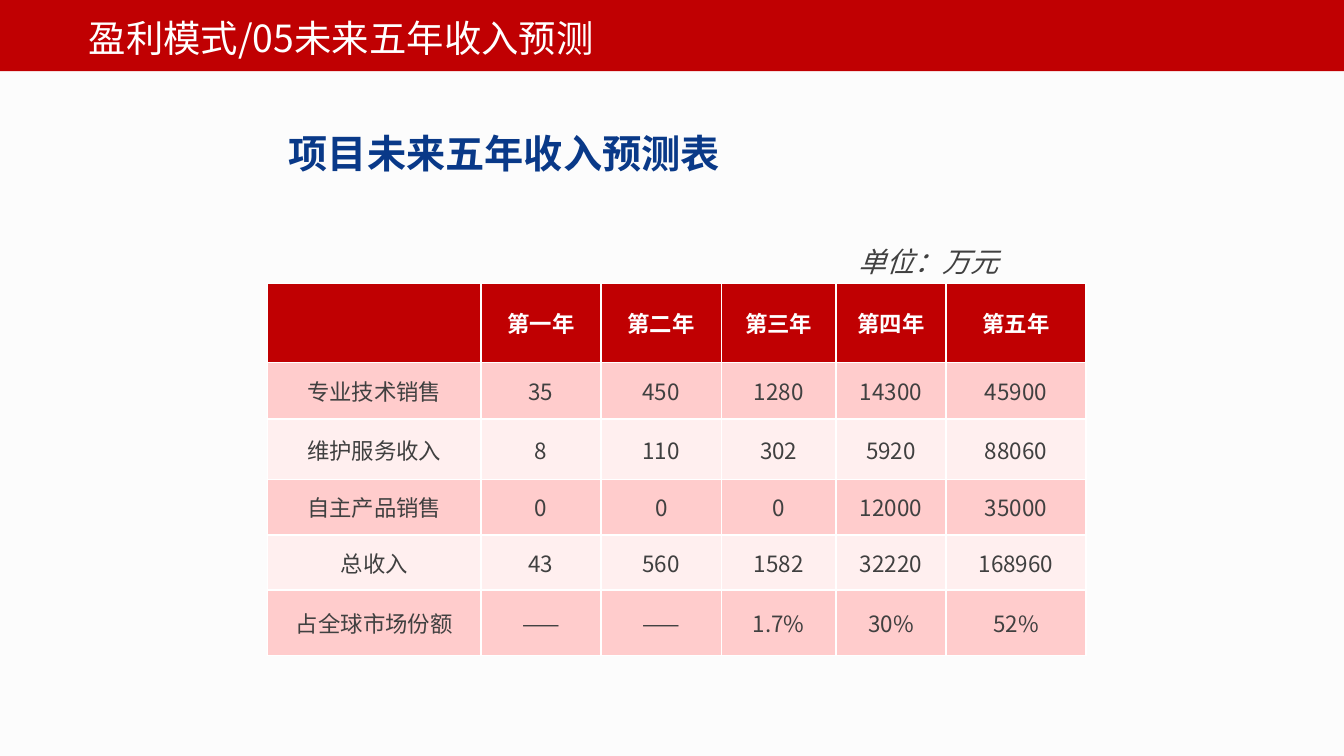
"""Build a slide with a table of five-year income forecasts."""
import dataclasses

import lxml.etree
import pptx
import pptx.dml.color
import pptx.enum.shapes
import pptx.enum.text
import pptx.oxml.ns
import pptx.util

Inches = pptx.util.Inches
Align = pptx.enum.text.PP_ALIGN
Anchor = pptx.enum.text.MSO_ANCHOR
FONT = "Noto Sans CJK SC"
RED, WHITE, GREY, BLUE = "C00002", "FFFFFF", "404040", "093988"
BANDS = ("FFCCCC", "FFEFEF")
PAGE_WIDTH = Inches(10)
PAGE_HEIGHT = PAGE_WIDTH * 9 // 16
COLUMN_WIDTHS = (1.59, 0.89, 0.9, 0.85, 0.82, 1.04)
ROW_HEIGHTS = (0.59, 0.42, 0.45, 0.41, 0.41, 0.49)
FORECAST = (
    ("", "第一年", "第二年", "第三年", "第四年", "第五年"),
    ("专业技术销售", "35", "450", "1280", "14300", "45900"),
    ("维护服务收入", "8", "110", "302", "5920", "88060"),
    ("自主产品销售", "0", "0", "0", "12000", "35000"),
    ("总收入", "43", "560", "1582", "32220", "168960"),
    ("占全球市场份额", "——", "——", "1.7%", "30%", "52%"),
)


@dataclasses.dataclass(frozen=True)
class TextStyle:
    """Describe the look of one line of text."""
    size: float
    color: str
    bold: bool = False
    italic: bool = False
    align: Align = Align.LEFT


@dataclasses.dataclass(frozen=True)
class Label:
    """Describe a text box and its place in inches."""
    text: str
    place: tuple[float, float, float, float]
    style: TextStyle
    frame: dict


HEADING = Label("盈利模式/05未来五年收入预测", (0.56, 0.07, 5.36, 0.46),
                TextStyle(20, WHITE), {"vertical_anchor": Anchor.TOP,
                                       "margin_top": Inches(0.04)})
LABELS = (
    Label("单位：万元", (3.23, 1.51, 4.84, 0.62),
          TextStyle(15, GREY, italic=True, align=Align.RIGHT),
          {"vertical_anchor": Anchor.BOTTOM, "margin_right": Inches(0.64),
           "margin_bottom": Inches(0.06)}),
    Label("项目未来五年收入预测表", (2.05, 0.92, 5.43, 0.47),
          TextStyle(21, BLUE, bold=True), {"vertical_anchor": Anchor.TOP,
                                           "margin_top": Inches(0.04)}),
)
HEADER_STYLE = TextStyle(12, WHITE, bold=True, align=Align.CENTER)
CELL_STYLE = TextStyle(12, GREY, align=Align.CENTER)


def rgb(color: str) -> pptx.dml.color.RGBColor:
    """Turn a hex string into a colour."""
    return pptx.dml.color.RGBColor.from_string(color)


def set_values(target: object, values: dict) -> None:
    """Set attributes from a dict of format values."""
    for name, value in values.items():
        setattr(target, name, value)


def paint(fill: object, color: str) -> None:
    """Give a fill one solid colour."""
    fill.solid()
    fill.fore_color.rgb = rgb(color)


def write(frame: object, text: str, style: TextStyle) -> None:
    """Write one styled paragraph into a text frame."""
    para = frame.paragraphs[0]
    para.alignment = style.align
    span = para.add_run()
    span.text = text
    set_values(span.font, {"name": FONT, "size": pptx.util.Pt(style.size),
                           "bold": style.bold, "italic": style.italic})
    span.font.color.rgb = rgb(style.color)
    east = lxml.etree.SubElement(span.font._element, pptx.oxml.ns.qn("a:ea"))
    east.set("typeface", FONT)


def fill_label(box: object, label: Label) -> None:
    """Place a box and write its label."""
    left, top, width, height = map(Inches, label.place)
    set_values(box, {"left": left, "top": top, "width": width, "height": height})
    set_values(box.text_frame, {"word_wrap": True,
                                "auto_size": pptx.enum.text.MSO_AUTO_SIZE.NONE,
                                **label.frame})
    write(box.text_frame, label.text, label.style)


def add_borders(cell: object, widths: dict[str, float]) -> None:
    """Draw white cell borders of the given widths in points."""
    properties = cell._tc.get_or_add_tcPr()
    for index, (side, width) in enumerate(widths.items()):
        line = lxml.etree.Element(pptx.oxml.ns.qn(f"a:ln{side}"),
                                  w=str(pptx.util.Pt(width)))
        solid = lxml.etree.SubElement(line, pptx.oxml.ns.qn("a:solidFill"))
        lxml.etree.SubElement(solid, pptx.oxml.ns.qn("a:srgbClr"), val=WHITE)
        properties.insert(index, line)


def add_forecast(page: object) -> None:
    """Add the forecast table with banded rows."""
    table = page.shapes.add_table(
        len(ROW_HEIGHTS), len(COLUMN_WIDTHS), Inches(1.99), Inches(2.11),
        Inches(sum(COLUMN_WIDTHS)), Inches(sum(ROW_HEIGHTS))).table
    table.horz_banding = False
    for column, width in zip(table.columns, COLUMN_WIDTHS):
        column.width = Inches(width)
    for index, (row, height, texts) in enumerate(zip(table.rows, ROW_HEIGHTS, FORECAST)):
        row.height = Inches(height)
        color = BANDS[(index - 1) % 2] if index else RED
        style = CELL_STYLE if index else HEADER_STYLE
        widths = {"L": 1, "R": 1, "T": 0.5 if index == 1 else 1,
                  "B": 1 if index else 0.5}
        for cell, text in zip(row.cells, texts):
            set_values(cell, {"vertical_anchor": Anchor.MIDDLE,
                              "margin_left": Inches(0.07), "margin_right": Inches(0.07),
                              "margin_top": Inches(0.04), "margin_bottom": Inches(0.04)})
            paint(cell.fill, color)
            add_borders(cell, widths)
            if text:
                write(cell.text_frame, text, style)


def add_banner(page: object) -> None:
    """Add the red banner behind the heading."""
    banner = page.shapes.add_shape(pptx.enum.shapes.MSO_SHAPE.RECTANGLE,
                                   0, 0, PAGE_WIDTH, Inches(0.53))
    banner.shadow.inherit = False
    paint(banner.fill, RED)
    banner.line.fill.background()
    page.shapes.title._element.addprevious(banner._element)


def main() -> None:
    """Build and save the deck."""
    deck = pptx.Presentation()
    set_values(deck, {"slide_width": PAGE_WIDTH, "slide_height": PAGE_HEIGHT})
    page = deck.slides.add_slide(deck.slide_layouts.get_by_name("Title Only"))
    paint(page.background.fill, "FCFCFC")
    add_banner(page)
    fill_label(page.shapes.title, HEADING)
    for label in LABELS:
        left, top, width, height = map(Inches, label.place)
        fill_label(page.shapes.add_textbox(left, top, width, height), label)
    add_forecast(page)
    deck.save("out.pptx")


if __name__ == "__main__":
    main()
